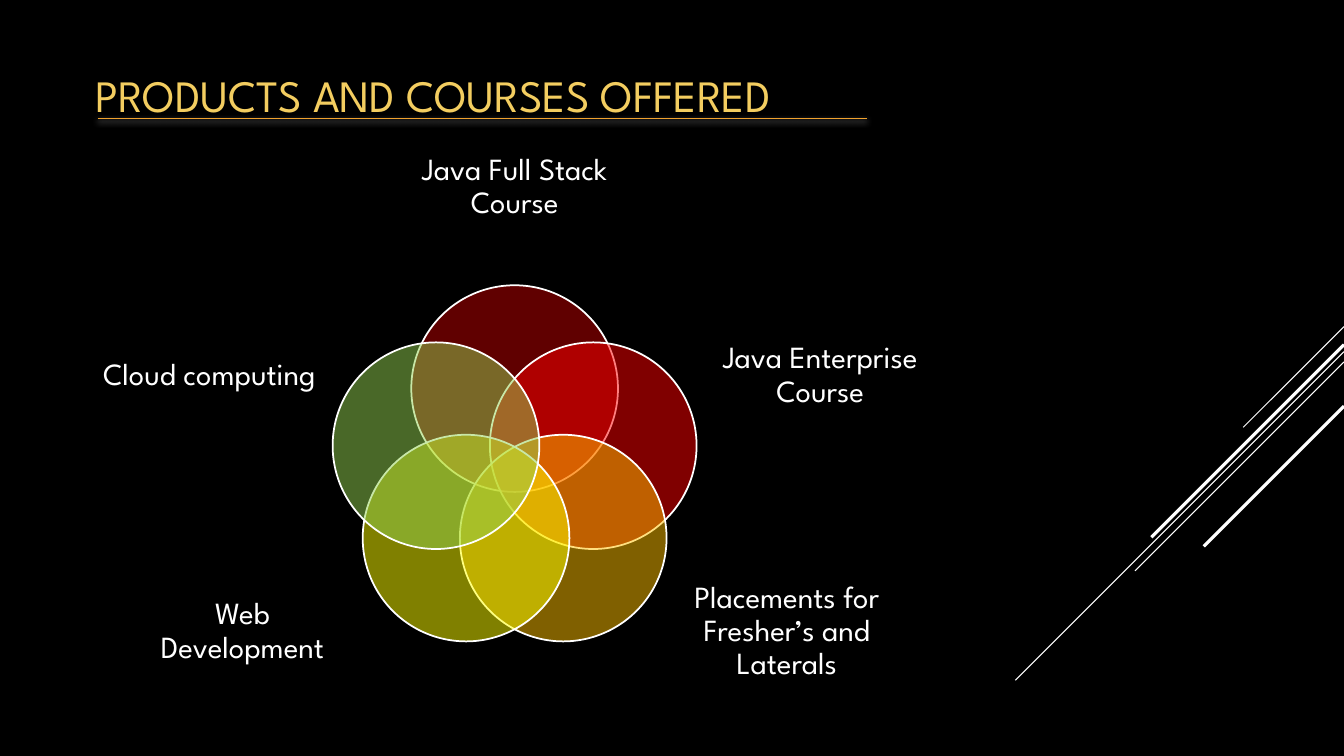
import math

import lxml.etree
import pptx
import pptx.dml.color
import pptx.enum.shapes
import pptx.enum.text
import pptx.oxml.ns
import pptx.util

WIDE = pptx.util.Inches(13.33)
HIGH = pptx.util.Inches(7.5)
FACE = "League Spartan"
WHITE = "FFFFFF"

# Percent of the slide: left, top, width, height
TITLE = (6.15, 6.8, 59.2, 11.47)
SIZE = (15.98, 19.87)

# Course, circle colour, label box; clockwise from the top
COURSES = [
    ("Java Full Stack Course", "C00000", (29.4, 15.6, 17.78, 18.27)),
    ("Java Enterprise Course", "FF0000", (53.03, 39.73, *SIZE)),
    ("Placements for Fresher’s and Laterals", "FFC000", (50.55, 73.6, *SIZE)),
    ("Web Development", "FFFF00", (10.05, 73.6, *SIZE)),
    ("Cloud computing", "92D050", (7.58, 39.73, *SIZE)),
]

# Height on the right edge, run to the left, line weight
STRIPES = [
    (43.2, 7.5, 0.75),
    (46.53, 24.45, 0.75),
    (47.87, 15.55, 0.75),
    (45.6, 14.33, 2.25),
    (53.73, 10.43, 2.25),
]


def across(share):
    return round(WIDE * share / 100)


def down(share):
    return round(HIGH * share / 100)


def place(box):
    left, top, width, height = box
    return across(left), down(top), across(width), down(height)


def paint(color, code):
    color.rgb = pptx.dml.color.RGBColor.from_string(code)


def add_child(parent, tag, **attrs):
    name = pptx.oxml.ns.qn(tag)
    return lxml.etree.SubElement(parent, name, attrs)


def fade(shape, share):
    """Make the solid fill of a shape see-through; call before setting its line."""
    name = pptx.oxml.ns.qn("a:srgbClr")
    color = shape._element.spPr.find(".//" + name)
    add_child(color, "a:alpha", val=str(share * 1000))


def style_text(frame, text, size, code, inset):
    frame.text = text
    frame.word_wrap = True
    frame.auto_size = pptx.enum.text.MSO_AUTO_SIZE.NONE
    frame.vertical_anchor = pptx.enum.text.MSO_ANCHOR.MIDDLE
    frame.margin_left = frame.margin_right = inset
    frame.margin_top = frame.margin_bottom = inset
    font = frame.paragraphs[0].runs[0].font
    font.name = FACE
    font.size = pptx.util.Pt(size)
    paint(font.color, code)


def add_title(slide, text):
    title = slide.shapes.title
    title.left, title.top, title.width, title.height = place(TITLE)
    style_text(title.text_frame, text, 32, "F3CD60", pptx.util.Inches(0.13))
    title.text_frame.paragraphs[0].alignment = pptx.enum.text.PP_ALIGN.LEFT


def add_label(slide, text, box):
    frame = slide.shapes.add_textbox(*place(box)).text_frame
    style_text(frame, text, 22, WHITE, 0)
    para = frame.paragraphs[0]
    para.alignment = pptx.enum.text.PP_ALIGN.CENTER
    para.line_spacing = 0.9


def add_circle(slide, index, code):
    """Draw one circle of the ring, a fifth of a turn after the last."""
    angle = index * math.tau / len(COURSES)
    ring, side = across(6.15), across(15.38)
    left = across(38.29) + ring * math.sin(angle) - side / 2
    top = down(62.33) - ring * math.cos(angle) - side / 2
    kind = pptx.enum.shapes.MSO_SHAPE.OVAL
    circle = slide.shapes.add_shape(kind, round(left), round(top), side, side)
    circle.shadow.inherit = False
    circle.fill.solid()
    paint(circle.fill.fore_color, code)
    fade(circle, 50)
    paint(circle.line.color, WHITE)
    circle.line.width = pptx.util.Pt(1.25)


def add_line(slide, start, end, code, weight):
    """Draw a line and return its empty effect list."""
    kind = pptx.enum.shapes.MSO_CONNECTOR.STRAIGHT
    line = slide.shapes.add_connector(kind, *start, *end)
    paint(line.line.color, code)
    line.line.width = pptx.util.Pt(weight)
    return add_child(line._element.spPr, "a:effectLst")


def add_stripe(slide, top, run, weight):
    """Draw a 45 degree line down from the right edge."""
    start = (WIDE, down(top))
    end = (WIDE - across(run), down(top) + across(run))
    add_line(slide, start, end, WHITE, weight)


def add_rule(slide):
    """Underline the title with a line that glows below."""
    level = down(15.73)
    start, end = (across(7.28), level), (across(64.5), level)
    effects = add_line(slide, start, end, "F0A22E", 0.75)
    glow = add_child(
        effects, "a:outerShdw", blurRad=str(pptx.util.Pt(4.5)),
        dist=str(pptx.util.Pt(1.5)), dir="5400000", rotWithShape="0")
    color = add_child(glow, "a:srgbClr", val=WHITE)
    add_child(color, "a:alpha", val="50000")


def main():
    deck = pptx.Presentation()
    deck.slide_width, deck.slide_height = WIDE, HIGH
    slide = deck.slides.add_slide(deck.slide_layouts.get_by_name("Title Only"))
    slide.background.fill.solid()
    paint(slide.background.fill.fore_color, "000000")
    for stripe in STRIPES:
        add_stripe(slide, *stripe)
    add_title(slide, "PRODUCTS AND COURSES OFFERED")
    for index, (name, code, box) in enumerate(COURSES):
        add_circle(slide, index, code)
        add_label(slide, name, box)
    add_rule(slide)
    deck.save("out.pptx")


if __name__ == "__main__":
    main()
